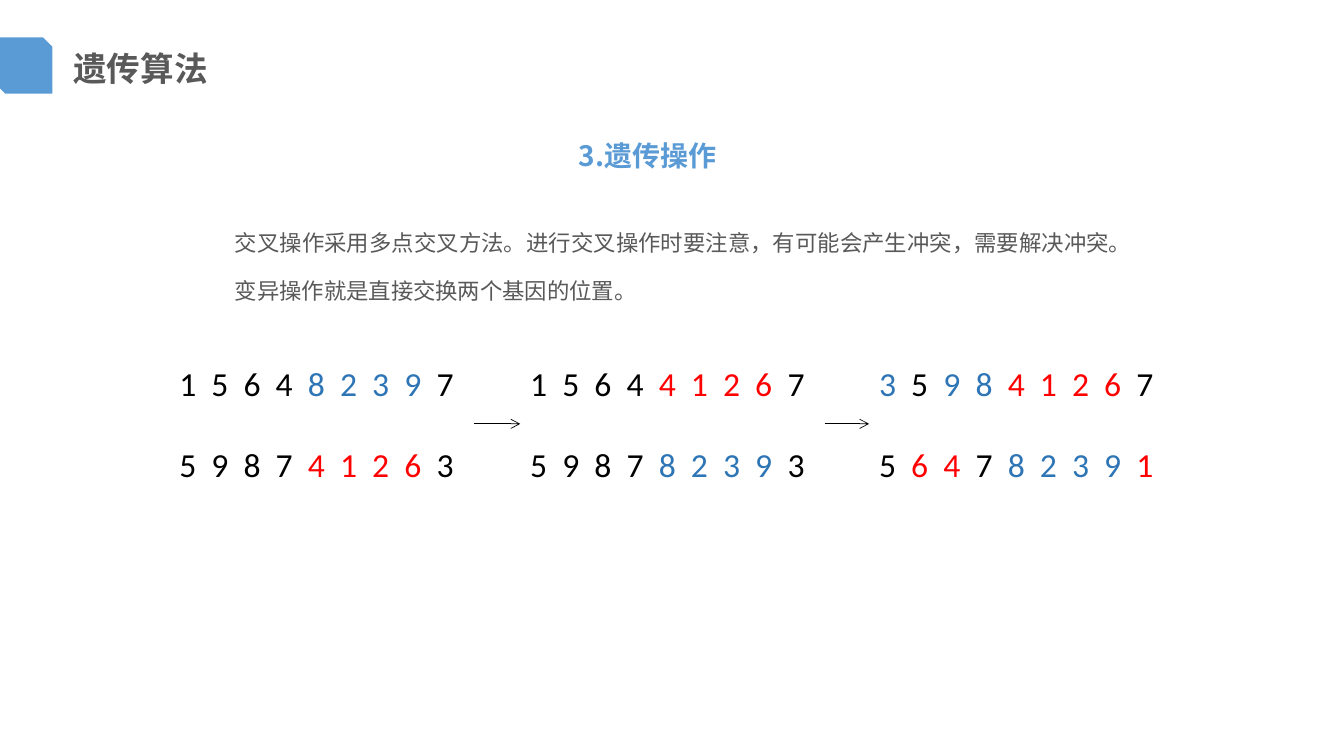
import itertools
import lxml.etree
import pptx
import pptx.dml.color
import pptx.enum.shapes
import pptx.enum.text
import pptx.oxml.ns
import pptx.util

Inches, Pt = pptx.util.Inches, pptx.util.Pt
ALIGN = pptx.enum.text.PP_ALIGN

THEME = {
    "accent": "5B9BD5", "grey": "595959",
    "k": "000000", "b": "2E75B6", "r": "FF0000",
    "cjk": "Noto Sans CJK SC", "latin": "Calibri",
    "title": 24, "head": 20, "body": 16, "gene": 24,
}

TITLE = "遗传算法"
HEAD = "3.遗传操作"
BODY = ("交叉操作采用多点交叉方法。进行交叉操作时要注意，有可能会产生冲突，需要解决冲突。"
        "变异操作就是直接交换两个基因的位置。")

# Each stage: left edge, then two rows of (genes, colour key per gene)
STAGES = [
    (1.68, [("156482397", "kkkkbbbbk"), ("598741263", "kkkkrrrrk")]),
    (5.16, [("156441267", "kkkkrrrrk"), ("598782393", "kkkkbbbbk")]),
    (8.62, [("359841267", "bkbbrrrrk"), ("564782391", "krrkbbbbr")]),
]
STAGE_TOP, STAGE_W, STAGE_H = 3.55, 3.02, 1.31
GENE_GAP = 2.7   # extra letter spacing, points
ROW_GAP = 29     # space between the two rows, points


def tint(key):
    return pptx.dml.color.RGBColor.from_string(THEME[key])


def add_child(parent, tag, **attrs):
    return lxml.etree.SubElement(parent, pptx.oxml.ns.qn(tag), **attrs)


def add_run(para, text, size, color, font, bold=False):
    run = para.add_run()
    run.text = text
    run.font.size = Pt(THEME[size])
    run.font.bold = bold
    run.font.color.rgb = tint(color)
    run.font.name = THEME[font]
    props = run.font._element
    add_child(props, "a:ea", typeface=THEME[font])
    return props


def add_box(slide, left, top, width, height, wrap=True):
    box = slide.shapes.add_textbox(*map(Inches, (left, top, width, height)))
    box.text_frame.word_wrap = wrap
    box.text_frame.auto_size = pptx.enum.text.MSO_AUTO_SIZE.SHAPE_TO_FIT_TEXT
    return box


def add_genes(para, genes, keys):
    """Write one chromosome, one run per stretch of equal colour."""
    left = len(genes)
    for key, group in itertools.groupby(zip(genes, keys), lambda pair: pair[1]):
        part = [gene for gene, _ in group]
        left -= len(part)
        text = " ".join(part) + (" " if left else "")
        props = add_run(para, text, "gene", key, "latin")
        props.set("spc", str(round(GENE_GAP * 100)))


def add_stage(slide, left, rows):
    box = add_box(slide, left, STAGE_TOP, STAGE_W, STAGE_H)
    first = box.text_frame.paragraphs[0]
    second = box.text_frame.add_paragraph()
    second.space_before = Pt(ROW_GAP)
    for para, row in zip((first, second), rows):
        add_genes(para, *row)
    return box


def add_arrow(slide, start, end):
    kind = pptx.enum.shapes.MSO_CONNECTOR.STRAIGHT
    arrow = slide.shapes.add_connector(kind, 0, 0, 0, 0)
    arrow.begin_connect(start, 3)
    arrow.end_connect(end, 1)
    arrow.line.width = Pt(0.5)
    arrow.line.color.rgb = tint("k")
    add_child(arrow.line._get_or_add_ln(), "a:tailEnd", type="arrow")
    add_child(arrow._element.spPr, "a:effectLst")


def main():
    deck = pptx.Presentation()
    deck.slide_width, deck.slide_height = Inches(13.33), Inches(7.5)
    slide = deck.slides.add_slide(deck.slide_layouts[6])

    tab = slide.shapes.add_shape(
        pptx.enum.shapes.MSO_SHAPE.SNIP_2_DIAG_RECTANGLE,
        *map(Inches, (-0.04, 0.37, 0.56, 0.56)))
    tab.shadow.inherit = False
    tab.fill.solid()
    tab.fill.fore_color.rgb = tint("accent")
    tab.line.fill.background()

    title = add_box(slide, 0.63, 0.43, 1.53, 0.5, wrap=False)
    add_run(title.text_frame.paragraphs[0], TITLE, "title", "grey", "cjk", True)

    body = add_box(slide, 2.23, 2.01, 8.88, 1.07).text_frame.paragraphs[0]
    body.alignment = ALIGN.JUSTIFY
    body.line_spacing = 1.8
    add_run(body, BODY, "body", "grey", "cjk")

    head = add_box(slide, 5.64, 1.33, 2.98, 0.44)
    add_run(head.text_frame.paragraphs[0], HEAD, "head", "accent", "cjk", True)

    boxes = [add_stage(slide, left, rows) for left, rows in STAGES]
    for start, end in zip(boxes, boxes[1:]):
        add_arrow(slide, start, end)

    deck.save("out.pptx")


if __name__ == "__main__":
    main()
